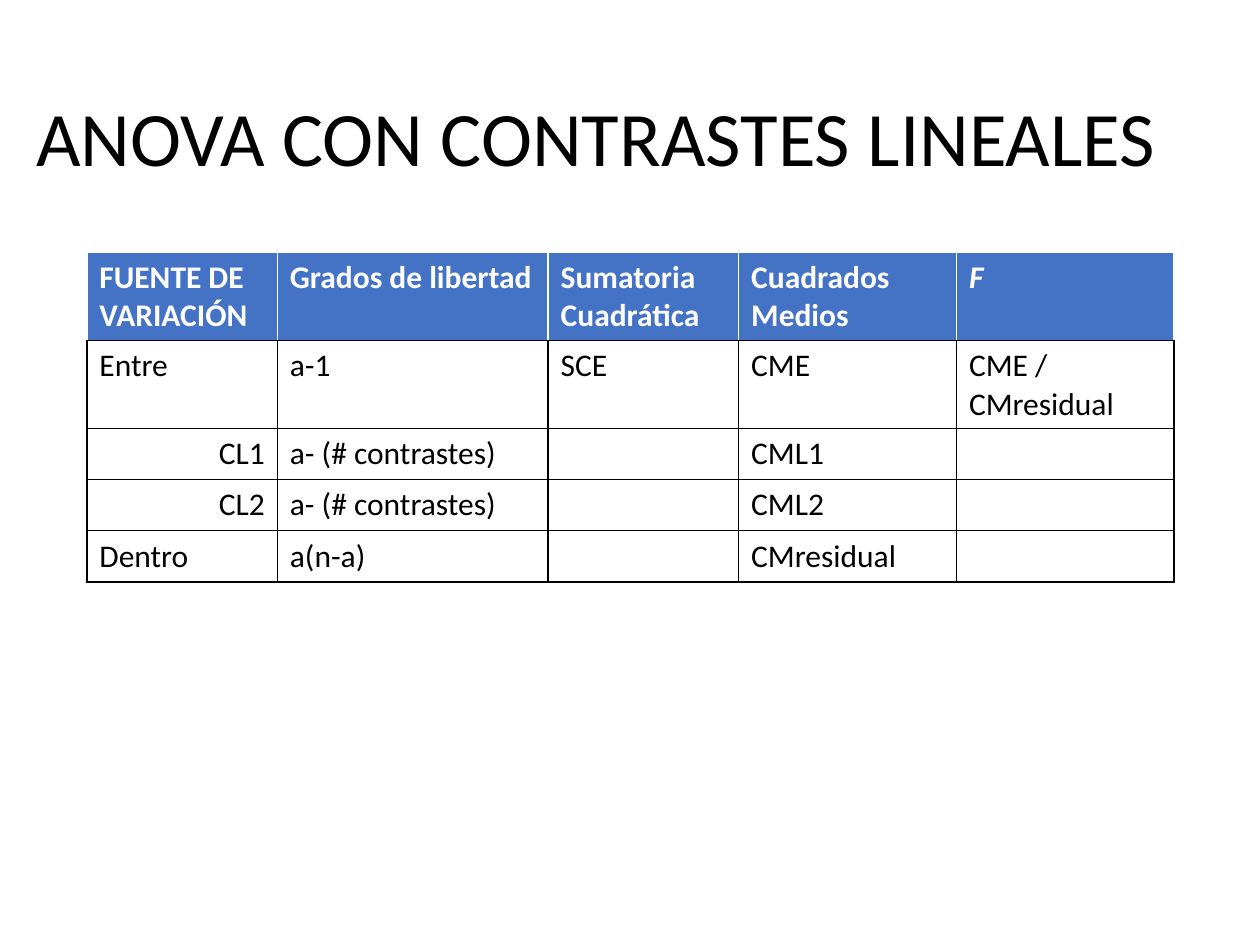
from lxml.etree import SubElement
from pptx import Presentation
from pptx.dml.color import RGBColor
from pptx.enum.text import MSO_ANCHOR, PP_ALIGN
from pptx.oxml.ns import qn
from pptx.util import Cm, Pt

# Content
TITLE = "ANOVA CON CONTRASTES LINEALES"
HEAD = ["FUENTE DE VARIACIÓN", "Grados de libertad", "Sumatoria Cuadrática",
        "Cuadrados Medios", "F"]
BODY = [
    ["Entre", "a-1", "SCE", "CME", "CME / CMresidual"],
    ["CL1", "a- (# contrastes)", "", "CML1", ""],
    ["CL2", "a- (# contrastes)", "", "CML2", ""],
    ["Dentro", "a(n-a)", "", "CMresidual", ""],
]
WIDTHS = [3.84, 5.46, 3.84, 4.39, 4.39]
ROW = 1.03
BLACK, WHITE, BLUE = "000000", "FFFFFF", "4472C4"


def color(code):
    return RGBColor.from_string(code)


def write(par, text, size, tone, bold=False, italic=False):
    run = par.add_run()
    run.text = text
    font = run.font
    font.name, font.size = "Calibri", Pt(size)
    font.bold, font.italic = bold, italic
    font.color.rgb = color(tone)


def border(cell, tones):
    """Draw 1 pt lines; tones run left, right, top, bottom."""
    props = cell._tc.get_or_add_tcPr()
    for spot, (side, tone) in enumerate(zip("LRTB", tones)):
        line = SubElement(props, qn("a:ln" + side), w=str(Pt(1)))
        fill = SubElement(line, qn("a:solidFill"))
        SubElement(fill, qn("a:srgbClr"), val=tone)
        props.insert(spot, line)  # lines come before the cell fill


deck = Presentation()
deck.slide_width, deck.slide_height = Cm(25.4), Cm(19.05)
slide = deck.slides.add_slide(deck.slide_layouts[6])

# Title
box = slide.shapes.add_textbox(Cm(0.48), Cm(1.02), Cm(23.16), Cm(3.68))
frame = box.text_frame
frame.word_wrap = True
frame.vertical_anchor = MSO_ANCHOR.MIDDLE
frame.paragraphs[0].line_spacing = 0.9
write(frame.paragraphs[0], TITLE, 44, BLACK)

# Table
rows = [HEAD] + BODY
table = slide.shapes.add_table(
    len(rows), len(HEAD), Cm(1.75), Cm(5.08),
    Cm(sum(WIDTHS)), Cm(ROW * len(rows))).table
table.horz_banding = False
for col, width in zip(table.columns, WIDTHS):
    col.width = Cm(width)

for r, row in enumerate(rows):
    table.rows[r].height = Cm(ROW)
    top = r == 0
    for c, text in enumerate(row):
        cell = table.cell(r, c)
        if top:
            cell.fill.solid()
            cell.fill.fore_color.rgb = color(BLUE)
        else:
            cell.fill.background()
        border(cell, [WHITE] * 3 + [BLACK] if top else [BLACK] * 4)
        par = cell.text_frame.paragraphs[0]
        par.font.size = Pt(18)
        if text.startswith("CL"):
            par.alignment = PP_ALIGN.RIGHT
        if text:
            write(par, text, 18, WHITE if top else BLACK, top, text == "F")

deck.save("out.pptx")
